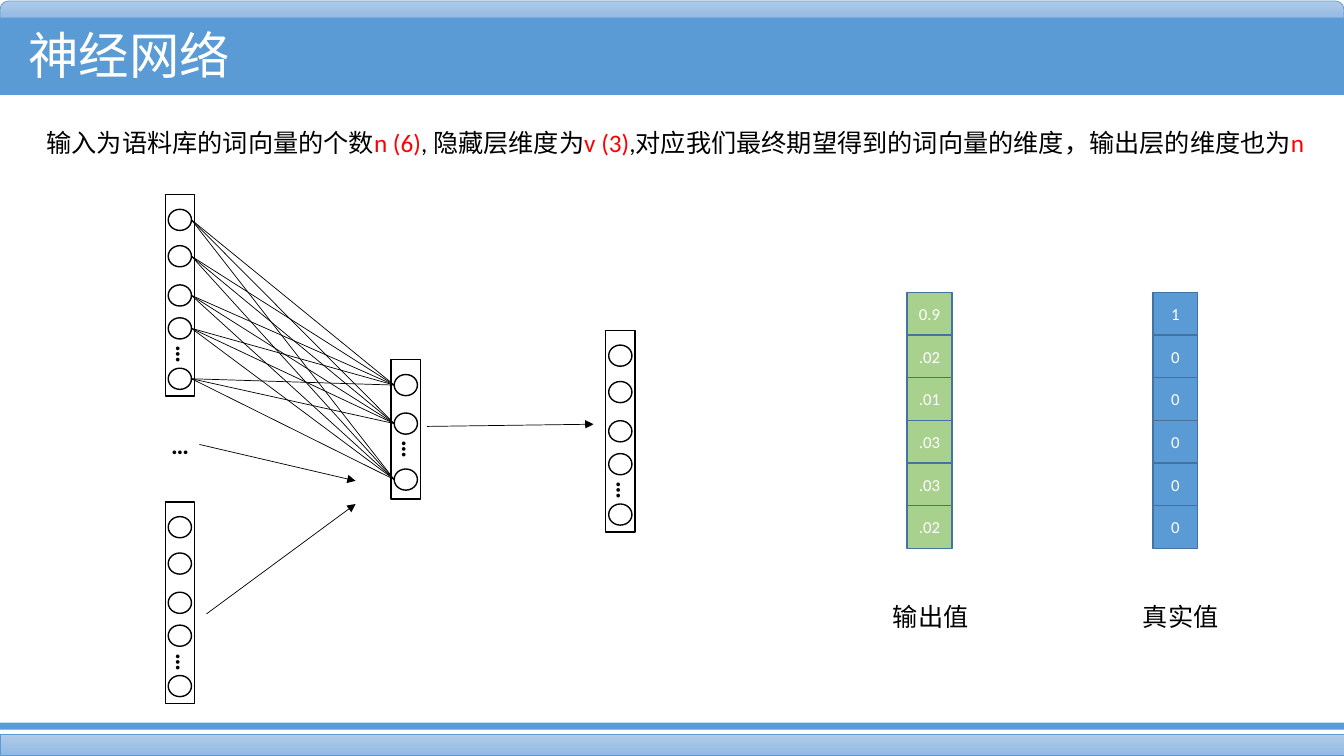
import dataclasses
import itertools

import pptx
import pptx.dml.color
import pptx.enum.shapes
import pptx.enum.text
import pptx.oxml.ns
import pptx.util
from lxml import etree

Pt = pptx.util.Pt
Shape = pptx.enum.shapes.MSO_SHAPE
Align = pptx.enum.text.PP_ALIGN
Anchor = pptx.enum.text.MSO_ANCHOR
AutoSize = pptx.enum.text.MSO_AUTO_SIZE
qn = pptx.oxml.ns.qn


@dataclasses.dataclass(frozen=True)
class Theme:
    latin: str = "Calibri"
    east: str = "Noto Sans CJK SC"
    title_size: float = 36
    body_size: float = 18
    cell_size: float = 12
    black: str = "000000"
    white: str = "FFFFFF"
    red: str = "FF0000"
    blue: str = "5B9BD5"
    navy: str = "43739E"
    green: str = "A9D18E"
    band_top: str = "B1CBE9"
    band_bottom: str = "93B9E4"


THEME = Theme()
SLIDE = (0, 0, 960, 540)
NEURON_WIDTH, NEURON_HEIGHT = 16.6, 15.1


def rgb(code):
    return pptx.dml.color.RGBColor.from_string(code)


def place(shape, box):
    shape.left, shape.top, shape.width, shape.height = map(Pt, box)


def style_span(span, size, color, bold=False, latin=THEME.latin, east=THEME.east):
    span.font.size = Pt(size)
    span.font.bold = bold
    span.font.color.rgb = rgb(color)
    span.font.name = latin
    east_font = etree.SubElement(span.font._element, qn("a:ea"))
    east_font.set("typeface", east)


def add_box(page, kind, box, fill=None, line=None, width=1):
    shape = page.shapes.add_shape(kind, *map(Pt, box))
    shape.shadow.inherit = False
    if fill:
        shape.fill.solid()
        shape.fill.fore_color.rgb = rgb(fill)
    else:
        shape.fill.background()
    if line:
        shape.line.color.rgb = rgb(line)
        shape.line.width = Pt(width)
    else:
        shape.line.fill.background()
    return shape


def add_label(page, box, text, wrap=False, **style):
    label = page.shapes.add_textbox(*map(Pt, box))
    label.text_frame.word_wrap = wrap
    label.text_frame.text = text
    style_span(label.text_frame.paragraphs[0].runs[0], THEME.body_size, THEME.black, **style)
    return label


def add_dots(page, box, wrap=False):
    return add_label(page, box, "…", wrap, bold=True, east=THEME.latin)


def add_line(page, start, end, arrow=False):
    line = page.shapes.add_connector(
        pptx.enum.shapes.MSO_CONNECTOR.STRAIGHT, *map(Pt, (*start, *end)))
    line.line.color.rgb = rgb(THEME.black)
    line.line.width = Pt(0.5)
    if arrow:
        etree.SubElement(line.line._get_or_add_ln(), qn("a:tailEnd")).set("type", "triangle")
    etree.SubElement(line._element.spPr, qn("a:effectLst"))


def draw_bands(page, box):
    """Header and footer bars."""
    left, top, width, height = box
    for kind, offset, depth in ((Shape.ROUND_2_SAME_RECTANGLE, 0.7, 12.2),
                                (Shape.RECTANGLE, height - 15.6, 15.1)):
        bar = add_box(page, kind, (left, top + offset, width, depth),
                      THEME.band_top, THEME.blue, 0.5)
        bar.fill.gradient()
        bar.fill.gradient_angle = 270
        for stop, color in zip(bar.fill.gradient_stops, (THEME.band_top, THEME.band_bottom)):
            stop.color.rgb = rgb(color)
        if kind == Shape.ROUND_2_SAME_RECTANGLE:
            bar.adjustments[0] = 0.5
    for offset, depth in ((13, 54.8), (height - 23.8, 5)):
        add_box(page, Shape.RECTANGLE, (left, top + offset, width, depth), THEME.blue)


def draw_title(page, box):
    title = page.shapes.title
    place(title, box)
    frame = title.text_frame
    frame.text = "神经网络"
    frame.word_wrap = False
    frame.auto_size = AutoSize.NONE
    frame.vertical_anchor = Anchor.MIDDLE
    frame.paragraphs[0].alignment = Align.LEFT
    style_span(frame.paragraphs[0].runs[0], THEME.title_size, THEME.white, latin=THEME.east)
    # Bring the title in front of the header bar
    title._element.getparent().append(title._element)


def draw_statement(page, box):
    body = page.placeholders[1]
    place(body, box)
    frame = body.text_frame
    frame.word_wrap = True
    frame.auto_size = AutoSize.NONE
    para = frame.paragraphs[0]
    properties = para._p.get_or_add_pPr()
    properties.set("marL", "0")
    properties.set("indent", "0")
    etree.SubElement(properties, qn("a:buNone"))
    para.space_before = Pt(0)
    parts = ("输入为语料库的词向量的个数", "n (6)", ", 隐藏层维度为", "v (3)",
             ",对应我们最终期望得到的词向量的维度，输出层的维度也为", "n")
    for text, color in zip(parts, itertools.cycle((THEME.black, THEME.red))):
        span = para.add_run()
        span.text = text
        style_span(span, THEME.body_size, color)


def draw_layer(page, box, neuron_tops, dots_top):
    """Column of neurons; returns the left and right middle points of each."""
    left, top, _, _ = box
    add_box(page, Shape.RECTANGLE, box, line=THEME.black)
    start = left + 2.2
    ports = []
    for offset in neuron_tops:
        add_box(page, Shape.OVAL, (start, top + offset, NEURON_WIDTH, NEURON_HEIGHT),
                line=THEME.black)
        middle = top + offset + NEURON_HEIGHT / 2
        ports.append(((start, middle), (start + NEURON_WIDTH, middle)))
    add_dots(page, (left + 4.3, top + dots_top, 21, 29), wrap=True).rotation = 90
    return ports


def draw_network(page, box):
    left, top, _, height = box
    long_layer = ((10.5, 36.5, 64.5, 88, 124), 97)
    inputs = draw_layer(page, (left, top, 21, 144), *long_layer)
    draw_layer(page, (left, top + height - 144, 21, 144), *long_layer)
    hidden = draw_layer(page, (left + 161.4, top + 118, 21, 99.5), (10.5, 38, 78), 46.8)
    draw_layer(page, (left + 314.6, top + 97, 21, 144), *long_layer)
    add_dots(page, (left - 2.9, top + 164.1, 27.4, 29))
    # Full connection from the first input to the hidden layer
    for target, source in itertools.product(hidden, inputs):
        add_line(page, source[1], target[0])
    # Flow arrows
    for x1, y1, x2, y2 in ((29.5, 299.5, 136, 221), (24.5, 178.5, 136, 204.5),
                           (187.2, 165.6, 306, 164)):
        add_line(page, (left + x1, top + y1), (left + x2, top + y2), arrow=True)


def draw_vector(page, box, values, fill, caption, caption_shift):
    """Stack of value cells with a caption below."""
    left, top, width, height = box
    step = height / len(values)
    for row, value in enumerate(values):
        cell = add_box(page, Shape.RECTANGLE, (left, top + row * step, width, step),
                       fill, THEME.navy)
        frame = cell.text_frame
        frame.margin_left = frame.margin_right = 0
        frame.vertical_anchor = Anchor.MIDDLE
        frame.text = value
        frame.paragraphs[0].alignment = Align.CENTER
        style_span(frame.paragraphs[0].runs[0], THEME.cell_size, THEME.white)
    add_label(page, (left + caption_shift, top + height + 34.2, 69, 29), caption,
              latin=THEME.east)


def main():
    deck = pptx.Presentation()
    deck.slide_width, deck.slide_height = Pt(SLIDE[2]), Pt(SLIDE[3])
    page = deck.slides.add_slide(deck.slide_layouts[1])
    draw_bands(page, SLIDE)
    draw_title(page, (13, 13, 160, 51))
    draw_statement(page, (26, 87.1, 916.6, 51))
    draw_network(page, (118, 139, 336, 363.5))
    draw_vector(page, (648, 208.8, 32, 183), ("0.9", ".02", ".01", ".03", ".03", ".02"),
                THEME.green, "输出值", -17.3)
    draw_vector(page, (823.5, 208.8, 32, 183), ("1", "0", "0", "0", "0", "0"),
                THEME.blue, "真实值", -14.2)
    deck.save("out.pptx")


if __name__ == "__main__":
    main()
